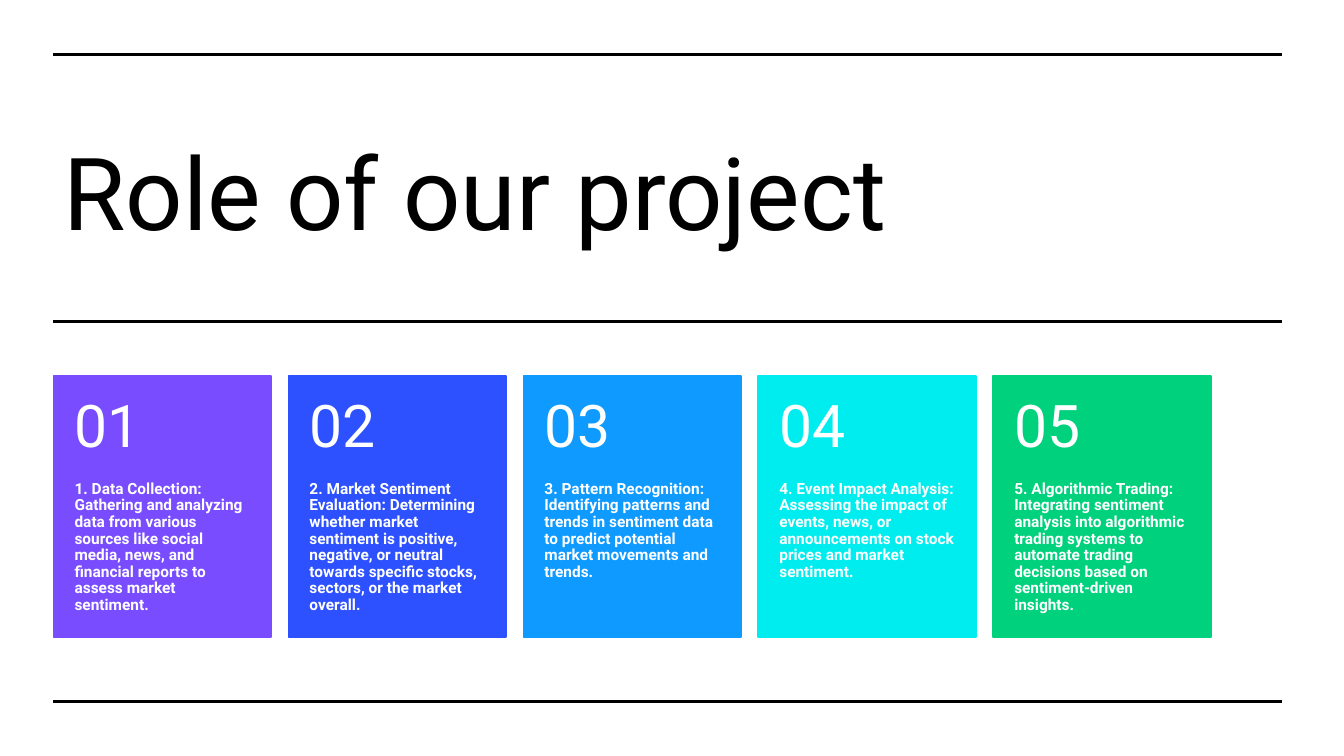
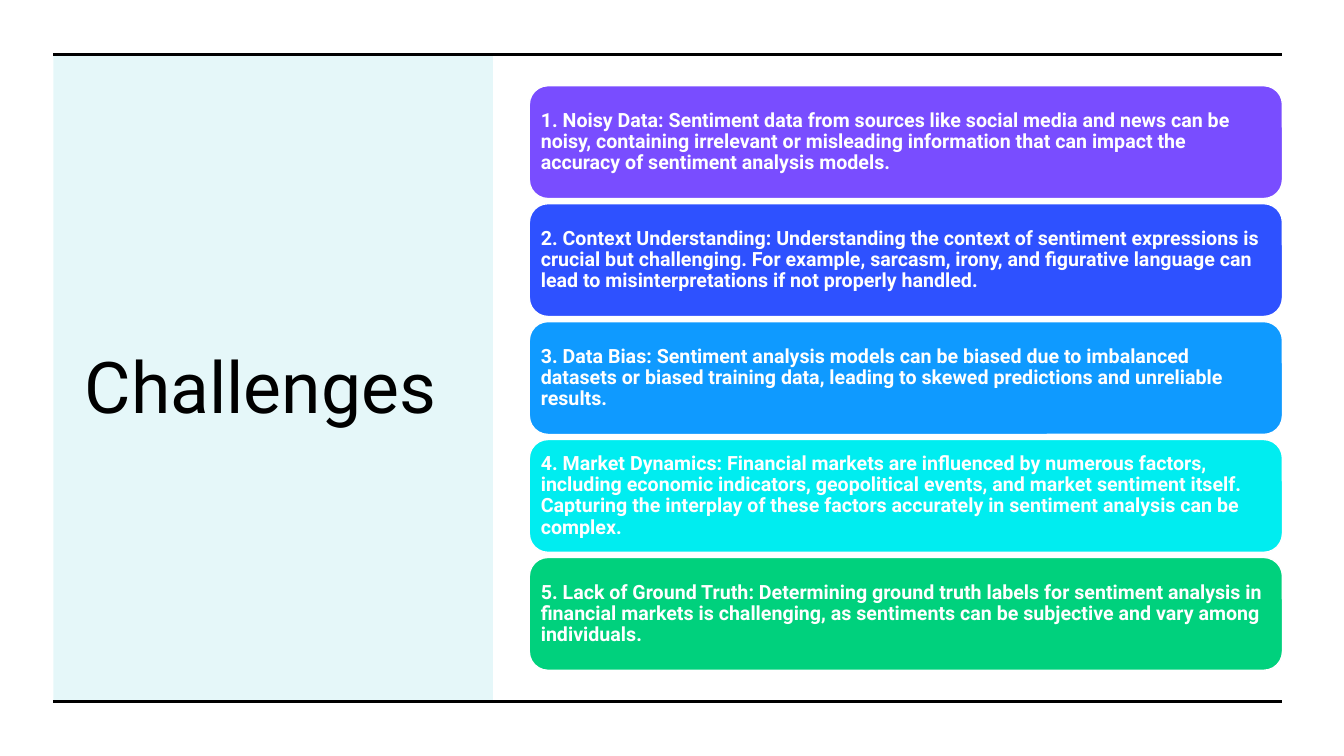
from dataclasses import dataclass

from lxml.etree import SubElement
from pptx import Presentation
from pptx.dml.color import RGBColor
from pptx.enum.shapes import MSO_CONNECTOR, MSO_SHAPE
from pptx.enum.text import MSO_ANCHOR, MSO_AUTO_SIZE, PP_ALIGN
from pptx.oxml.ns import qn
from pptx.util import Inches, Pt


@dataclass(frozen=True)
class Theme:
    font: str = "Roboto"
    ink: str = "000000"
    paper: str = "FFFFFF"
    panel: str = "00BAC8"
    accents: tuple = ("794DFF", "2E51FF", "0F9AFF", "00EDF0", "00D17D")
    banner_size: int = 72
    side_title_size: int = 51
    number_size: int = 42
    bar_size: int = 14
    card_size: int = 11
    rule_width: float = 2.25
    outline_width: float = 1


@dataclass(frozen=True)
class Box:
    left: float
    top: float
    width: float
    height: float

    def lengths(self):
        return [Inches(value) for value in (self.left, self.top, self.width, self.height)]


THEME = Theme()
FRAME = Box(0.53, 0.54, 12.19, 6.42)

ROLES = (
    "1. Data Collection: Gathering and analyzing data from various sources like social media, news, "
    "and financial reports to assess market sentiment.",
    "2. Market Sentiment Evaluation: Determining whether market sentiment is positive, negative, or "
    "neutral towards specific stocks, sectors, or the market overall.",
    "3. Pattern Recognition: Identifying patterns and trends in sentiment data to predict potential "
    "market movements and trends.",
    "4. Event Impact Analysis: Assessing the impact of events, news, or announcements on stock prices "
    "and market sentiment.",
    "5. Algorithmic Trading: Integrating sentiment analysis into algorithmic trading systems to "
    "automate trading decisions based on sentiment-driven insights.",
)

CHALLENGES = (
    "1. Noisy Data: Sentiment data from sources like social media and news can be noisy, containing "
    "irrelevant or misleading information that can impact the accuracy of sentiment analysis models.",
    "2. Context Understanding: Understanding the context of sentiment expressions is crucial but "
    "challenging. For example, sarcasm, irony, and figurative language can lead to misinterpretations "
    "if not properly handled.",
    "3. Data Bias: Sentiment analysis models can be biased due to imbalanced datasets or biased "
    "training data, leading to skewed predictions and unreliable results.",
    "4. Market Dynamics: Financial markets are influenced by numerous factors, including economic "
    "indicators, geopolitical events, and market sentiment itself. Capturing the interplay of these "
    "factors accurately in sentiment analysis can be complex.",
    "5. Lack of Ground Truth: Determining ground truth labels for sentiment analysis in financial "
    "markets is challenging, as sentiments can be subjective and vary among individuals.",
)


def write(shape, text, size, color=THEME.paper, bold=False, spacing=0.9,
          anchor=MSO_ANCHOR.MIDDLE, insets=(0.1, 0.05, 0.1, 0.05)):
    frame = shape.text_frame
    frame.word_wrap = True
    frame.auto_size = MSO_AUTO_SIZE.NONE
    frame.vertical_anchor = anchor
    (frame.margin_left, frame.margin_top,
     frame.margin_right, frame.margin_bottom) = [Inches(inset) for inset in insets]
    para = frame.paragraphs[0]
    para.alignment = PP_ALIGN.LEFT
    para.line_spacing = spacing
    span = para.add_run()
    span.text = text
    span.font.name = THEME.font
    span.font.size = Pt(size)
    span.font.bold = bold
    span.font.color.rgb = RGBColor.from_string(color)


def add_block(page, box, fill, outline=None, preset=MSO_SHAPE.RECTANGLE):
    block = page.shapes.add_shape(preset, *box.lengths())
    block.shadow.inherit = False
    block.fill.solid()
    block.fill.fore_color.rgb = RGBColor.from_string(fill)
    if outline:
        block.line.color.rgb = RGBColor.from_string(outline)
        block.line.width = Pt(THEME.outline_width)
    else:
        block.line.fill.background()
    return block


def add_rule(page, top):
    left, right = Inches(FRAME.left), Inches(FRAME.left + FRAME.width)
    rule = page.shapes.add_connector(MSO_CONNECTOR.STRAIGHT, left, Inches(top), right, Inches(top))
    rule.line.color.rgb = RGBColor.from_string(THEME.ink)
    rule.line.width = Pt(THEME.rule_width)
    SubElement(rule.element.spPr, qn("a:effectLst"))


def add_page(deck, title, title_box, title_size):
    page = deck.slides.add_slide(deck.slide_layouts[5])
    heading = page.shapes.title
    heading.left, heading.top, heading.width, heading.height = title_box.lengths()
    write(heading, title, title_size, color=THEME.ink, spacing=1.0)
    for top in (FRAME.top, FRAME.top + FRAME.height):
        add_rule(page, top)
    return page


def add_cards(page, box, texts, gap=0.17, number_height=1.04):
    width = (box.width - gap * (len(texts) - 1)) / len(texts)
    for index, (text, color) in enumerate(zip(texts, THEME.accents)):
        left = box.left + index * (width + gap)
        card = add_block(page, Box(left, box.top, width, box.height), color, outline=color)
        write(card, text, THEME.card_size, bold=True, anchor=MSO_ANCHOR.TOP,
              insets=(0.21, number_height, 0.21, 0))
        number = page.shapes.add_textbox(*Box(left, box.top, width, number_height).lengths())
        write(number, f"{index + 1:02}", THEME.number_size, insets=(0.21, 0.18, 0.21, 0.18))


def add_bars(page, box, texts, gap=0.05):
    height = (box.height - gap * (len(texts) - 1)) / len(texts)
    for index, (text, color) in enumerate(zip(texts, THEME.accents)):
        place = Box(box.left, box.top + index * (height + gap), box.width, height)
        bar = add_block(page, place, color, THEME.paper, MSO_SHAPE.ROUNDED_RECTANGLE)
        write(bar, text, THEME.bar_size, bold=True, insets=(0.06, 0.06, 0.06, 0.06))


def add_side_panel(page, box):
    panel = add_block(page, box, THEME.panel)
    color = panel.element.spPr.find(qn("a:solidFill")).find(qn("a:srgbClr"))
    SubElement(color, qn("a:alpha"), val="10000")
    page.shapes.title.element.addprevious(panel.element)


def add_role_page(deck):
    page = add_page(deck, "Role of our project", Box(FRAME.left, 1.07, 9.2, 1.63), THEME.banner_size)
    add_rule(page, 3.19)
    add_cards(page, Box(FRAME.left, 3.73, 11.48, 2.59), ROLES)


def add_challenge_page(deck):
    page = add_page(deck, "Challenges", Box(0.74, 1.07, 3.89, 5.5), THEME.side_title_size)
    add_side_panel(page, Box(FRAME.left, FRAME.top, 4.36, FRAME.height))
    add_bars(page, Box(5.25, 0.85, 7.47, 5.8), CHALLENGES)


def main():
    deck = Presentation()
    deck.slide_width, deck.slide_height = Inches(13.33), Inches(7.5)
    add_role_page(deck)
    add_challenge_page(deck)
    deck.save("out.pptx")


if __name__ == "__main__":
    main()
